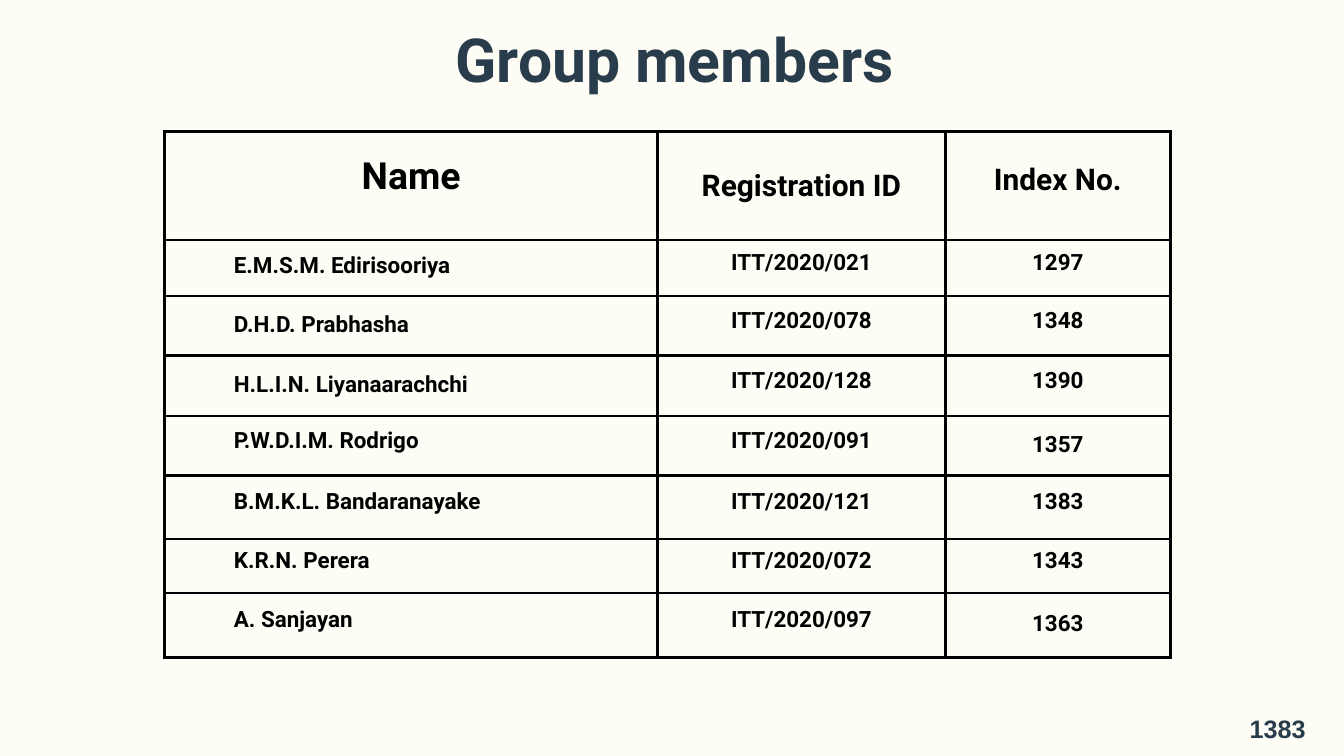
from pptx import Presentation
from pptx.dml.color import RGBColor
from pptx.enum import text
from pptx.oxml import parse_xml
from pptx.oxml.ns import nsdecls
from pptx.util import Cm, Pt

# Content
TITLE = "Group members"
PAGE_NUMBER = "1383"
HEADINGS = ["Name", "Registration ID", "Index No."]
MEMBERS = [
    ("E.M.S.M. Edirisooriya", "ITT/2020/021", "1297"),
    ("D.H.D. Prabhasha", "ITT/2020/078", "1348"),
    ("H.L.I.N. Liyanaarachchi", "ITT/2020/128", "1390"),
    ("P.W.D.I.M. Rodrigo", "ITT/2020/091", "1357"),
    ("B.M.K.L. Bandaranayake", "ITT/2020/121", "1383"),
    ("K.R.N. Perera", "ITT/2020/072", "1343"),
    ("A. Sanjayan", "ITT/2020/097", "1363"),
]

THEME = {
    "background": RGBColor.from_string("FDFDF5"),
    "accent": RGBColor.from_string("283C4C"),
    "ink": RGBColor.from_string("000000"),
    "font": "Roboto",
    "number font": "Arial",
    "title size": 65,
    "heading sizes": [40, 32, 32],
    "member size": 24,
    "number size": 27,
    "border": 3,
}

# Layout, in cm; line spacing in points
COLUMN_WIDTHS = [18.64, 10.87, 8.51]
ROW_HEIGHTS = [4.09, 2.13, 2.24, 2.29, 2.24, 2.41, 2.03, 2.44]
INSET, NAME_INSET = 0.53, 2.62
BODY_SPACING, WIDE_SPACING = 16.8, 26.6
SPACING = {  # (row, column) where it differs from the body
    (0, 0): WIDE_SPACING, (0, 1): None, (0, 2): WIDE_SPACING,
    (1, 0): 22.4, (2, 0): WIDE_SPACING, (3, 0): WIDE_SPACING,
    (4, 2): WIDE_SPACING, (7, 2): WIDE_SPACING,
}


def write(frame, words, size, color, align, spacing, font=THEME["font"]):
    frame.text = words
    line = frame.paragraphs[0]
    line.alignment = align
    if spacing:
        line.line_spacing = Pt(spacing)
    line.font.name, line.font.size = font, Pt(size)
    line.font.bold, line.font.color.rgb = True, color


def place(box, left, top, width, height):
    box.left, box.top, box.width, box.height = map(Cm, (left, top, width, height))
    frame = box.text_frame
    frame.margin_left = frame.margin_top = frame.margin_right = frame.margin_bottom = 0
    frame.word_wrap = True
    frame.auto_size = text.MSO_AUTO_SIZE.NONE
    frame.vertical_anchor = text.MSO_ANCHOR.TOP
    return frame


def add_borders(cell):
    properties = cell._tc.get_or_add_tcPr()
    for position, side in enumerate(("lnL", "lnR", "lnT", "lnB")):
        properties.insert(position, parse_xml(
            f'<a:{side} {nsdecls("a")} w="{Pt(THEME["border"])}"><a:solidFill>'
            f'<a:srgbClr val="{THEME["ink"]}"/></a:solidFill></a:{side}>'))


def add_members_table(slide):
    rows = [HEADINGS, *MEMBERS]
    table = slide.shapes.add_table(
        len(rows), len(HEADINGS), Cm(6.22), Cm(4.98),
        Cm(sum(COLUMN_WIDTHS)), Cm(sum(ROW_HEIGHTS))).table
    table.first_row = table.horz_banding = False
    for column, width in zip(table.columns, COLUMN_WIDTHS):
        column.width = Cm(width)
    for row, height in zip(table.rows, ROW_HEIGHTS):
        row.height = Cm(height)

    for r, row in enumerate(rows):
        for c, words in enumerate(row):
            cell = table.cell(r, c)
            is_name = r > 0 and c == 0
            spacing = SPACING.get((r, c), BODY_SPACING)
            if spacing:
                cell.margin_left = Cm(NAME_INSET if is_name else INSET)
                cell.margin_right = cell.margin_top = cell.margin_bottom = Cm(INSET)
            cell.vertical_anchor = text.MSO_ANCHOR.MIDDLE
            cell.fill.background()
            add_borders(cell)
            size = THEME["member size"] if r else THEME["heading sizes"][c]
            align = text.PP_ALIGN.LEFT if is_name else text.PP_ALIGN.CENTER
            write(cell.text_frame, words, size, THEME["ink"], align, spacing)


def main():
    deck = Presentation()
    deck.slide_width, deck.slide_height = Cm(50.8), Cm(28.58)
    slide = deck.slides.add_slide(deck.slide_layouts[5])
    slide.background.fill.solid()
    slide.background.fill.fore_color.rgb = THEME["background"]

    # Title
    heading = place(slide.shapes.title, 12.73, 0.89, 21.06, 3.07)
    write(heading, TITLE, THEME["title size"], THEME["accent"],
          text.PP_ALIGN.RIGHT, 76.7)

    # Members
    add_members_table(slide)

    # Page number
    number = place(slide.shapes.add_textbox(0, 0, 0, 0), 46.15, 26.77, 4.29, 1.24)
    write(number, PAGE_NUMBER, THEME["number size"], THEME["accent"],
          text.PP_ALIGN.CENTER, 37.8, THEME["number font"])

    deck.save("out.pptx")


if __name__ == "__main__":
    main()
